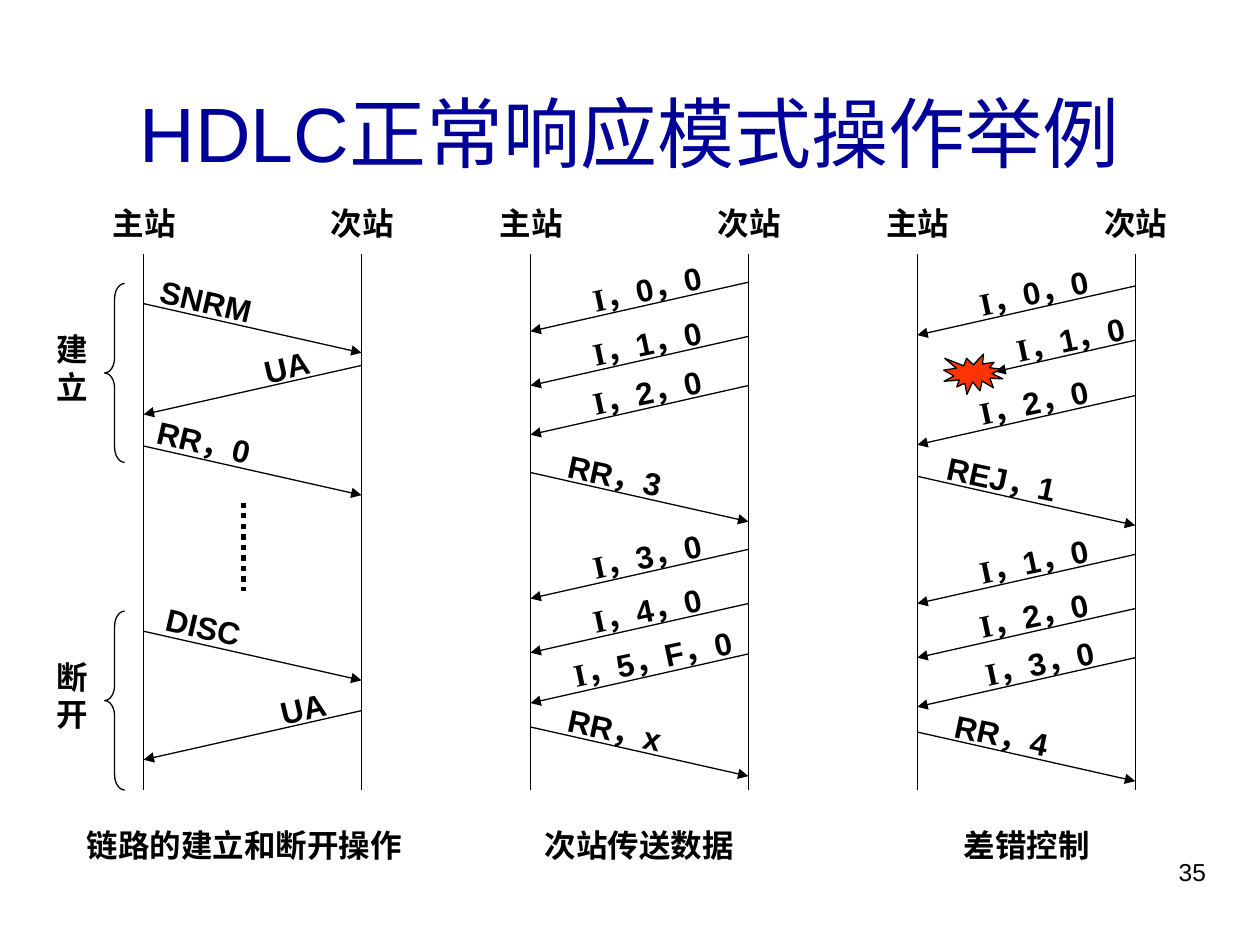
from lxml import etree
from pptx import Presentation
from pptx.dml.color import RGBColor
from pptx.enum.dml import MSO_LINE
from pptx.enum.shapes import MSO_CONNECTOR, MSO_SHAPE
from pptx.enum.text import MSO_ANCHOR, PP_ALIGN
from pptx.oxml.ns import qn
from pptx.util import Inches, Pt

LEFT, CENTER, RIGHT = PP_ALIGN.LEFT, PP_ALIGN.CENTER, PP_ALIGN.RIGHT
MIDDLE = MSO_ANCHOR.MIDDLE
STRAIGHT = MSO_CONNECTOR.STRAIGHT
BRACE, BURST = MSO_SHAPE.LEFT_BRACE, MSO_SHAPE.EXPLOSION1
DOTTED = MSO_LINE.ROUND_DOT
BLACK, NAVY, RED = "000000", "000099", "FF3300"

FIRST_LANE, LANE_PITCH, LANE_WIDTH = 1.14, 3.07, 1.73
LANE_TOP, LANE_BOTTOM = 2.02, 6.27
SLOPE_DROP = 0.39

# Caption of each lane: text, left, width, alignment
CAPTIONS = [
    ("链路的建立和断开操作", 0.59, 2.76, LEFT),
    ("次站传送数据", 4.21, 1.73, CENTER),
    ("差错控制", 7.44, 1.42, CENTER),
]

# Label placement: offset from lane left, offset from arrow start, width
FRAME = (0.32, -0.1, 1.21)
REPLY = (0.09, -0.13, 1.16)

# Per lane: label, primary station sends, start height, label placement
MESSAGES = [
    [
        ("SNRM", True, 2.41, (0.1, -0.17, 0.79)),
        ("UA", False, 2.9, (0.74, -0.14, 0.79)),
        ("RR，0", True, 3.54, (0.05, -0.19, 0.79)),
        ("DISC", True, 5.01, (0.08, -0.19, 0.79)),
        ("UA", False, 5.64, (0.87, -0.17, 0.79)),
    ],
    [
        ("I，0，0", False, 2.24, FRAME),
        ("I，1，0", False, 2.67, FRAME),
        ("I，2，0", False, 3.06, FRAME),
        ("RR，3", True, 3.75, REPLY),
        ("I，3，0", False, 4.36, FRAME),
        ("I，4，0", False, 4.79, FRAME),
        ("I，5，F，0", False, 5.19, (0.35, -0.12, 1.3)),
        ("RR，x", True, 5.77, REPLY),
    ],
    [
        ("I，0，0", False, 2.27, FRAME),
        ("I，2，0", False, 3.14, FRAME),
        ("REJ，1", True, 3.78, REPLY),
        ("I，1，0", False, 4.4, FRAME),
        ("I，2，0", False, 4.83, FRAME),
        ("I，3，0", False, 5.22, (0.32, -0.11, 1.3)),
        ("RR，4", True, 5.81, REPLY),
    ],
]

# Phases of the first lane: text, top of its brace, text width
PHASES = [("建立", 2.25, 0.43), ("断开", 4.85, 0.35)]


def color(value):
    return RGBColor.from_string(value)


def add_text(page, text, left, top, width, height, align=CENTER, size=18,
             ink=BLACK, bold=True, margins=(0, 0)):
    box = page.shapes.add_textbox(Inches(left), Inches(top), Inches(width), Inches(height))
    frame = box.text_frame
    frame.word_wrap = True
    frame.margin_left = frame.margin_right = Inches(margins[0])
    frame.margin_top = frame.margin_bottom = Inches(margins[1])
    para = frame.paragraphs[0]
    para.alignment = align
    # The frame type letter is set in a serif font
    parts = ["I", text[1:]] if text.startswith("I，") else [text]
    for part in parts:
        span = para.add_run()
        span.text = part
        span.font.name = "Times New Roman" if part == "I" else "Arial"
        span.font.size = Pt(size)
        span.font.bold = bold
        span.font.color.rgb = color(ink)
    return box


def add_line(page, start, end, width=0.75, arrow=False):
    line = page.shapes.add_connector(STRAIGHT, *(Inches(value) for value in (*start, *end)))
    line.line.color.rgb = color(BLACK)
    line.line.width = Pt(width)
    if arrow:
        etree.SubElement(line.line._get_or_add_ln(), qn("a:tailEnd"), type="triangle")
    etree.SubElement(line._element.spPr, qn("a:effectLst"))
    return line


def add_outline(page, kind, left, top, width, height, fill=None):
    shape = page.shapes.add_shape(kind, Inches(left), Inches(top), Inches(width), Inches(height))
    shape.shadow.inherit = False
    shape.line.color.rgb = color(BLACK)
    shape.line.width = Pt(0.75)
    if fill:
        shape.fill.solid()
        shape.fill.fore_color.rgb = color(fill)
    else:
        shape.fill.background()
    return shape


def add_lane(page, left, caption):
    for name, x in (("主站", left), ("次站", left + LANE_WIDTH)):
        add_line(page, (x, LANE_TOP), (x, LANE_BOTTOM))
        add_text(page, name, x - 0.27, 1.62, 0.55, 0.3)
    text, caption_left, width, align = caption
    add_text(page, text, caption_left, 6.51, width, 0.4, align, margins=(0.1, 0.05))


def add_message(page, lane, text, from_primary, top, placement, reach=LANE_WIDTH):
    right = lane + LANE_WIDTH
    start, end = (lane, lane + reach) if from_primary else (right, right - reach)
    drop = SLOPE_DROP * reach / LANE_WIDTH
    add_line(page, (start, top), (end, top + drop), arrow=True)
    shift, rise, width = placement
    height = 0.6 if text in ("RR，0", "I，5，F，0") else 0.3
    label = add_text(page, text, lane + shift, top + rise, width, height)
    tilt = 13 if width == 0.79 else 12
    label.rotation = tilt if from_primary else -tilt


def add_phase(page, text, top, width):
    brace = add_outline(page, BRACE, 0.83, top, 0.16, 1.42)
    brace.adjustments[0] = 0.75
    add_text(page, text, 0.35, top + 0.32, width, 0.7, LEFT, margins=(0.1, 0.05))


def main():
    deck = Presentation()
    deck.slide_width, deck.slide_height = Inches(10), Inches(7.5)
    page = deck.slides.add_slide(deck.slide_layouts[6])

    # Title and page number
    title = add_text(page, "HDLC正常响应模式操作举例", 0.33, 0.42, 9.34, 1.25,
                     size=44, ink=NAVY, bold=False, margins=(0.1, 0.05))
    title.text_frame.vertical_anchor = MIDDLE
    add_text(page, "35", 7.17, 6.75, 2.5, 0.52, RIGHT, 14, bold=False, margins=(0.1, 0.05))

    # Three exchanges between the stations
    for index, (caption, messages) in enumerate(zip(CAPTIONS, MESSAGES)):
        lane = FIRST_LANE + index * LANE_PITCH
        add_lane(page, lane, caption)
        for message in messages:
            add_message(page, lane, *message)

    # Damaged frame in the last exchange
    add_message(page, lane, "I，1，0", False, 2.7, (0.61, -0.16, 1.21), reach=1.11)
    add_outline(page, BURST, 7.49, 2.81, 0.47, 0.32, RED)

    # Omitted traffic and phases of the first exchange
    add_line(page, (1.93, 3.99), (1.93, 4.69), width=3).line.dash_style = DOTTED
    for phase in PHASES:
        add_phase(page, *phase)

    deck.save("out.pptx")


if __name__ == "__main__":
    main()
